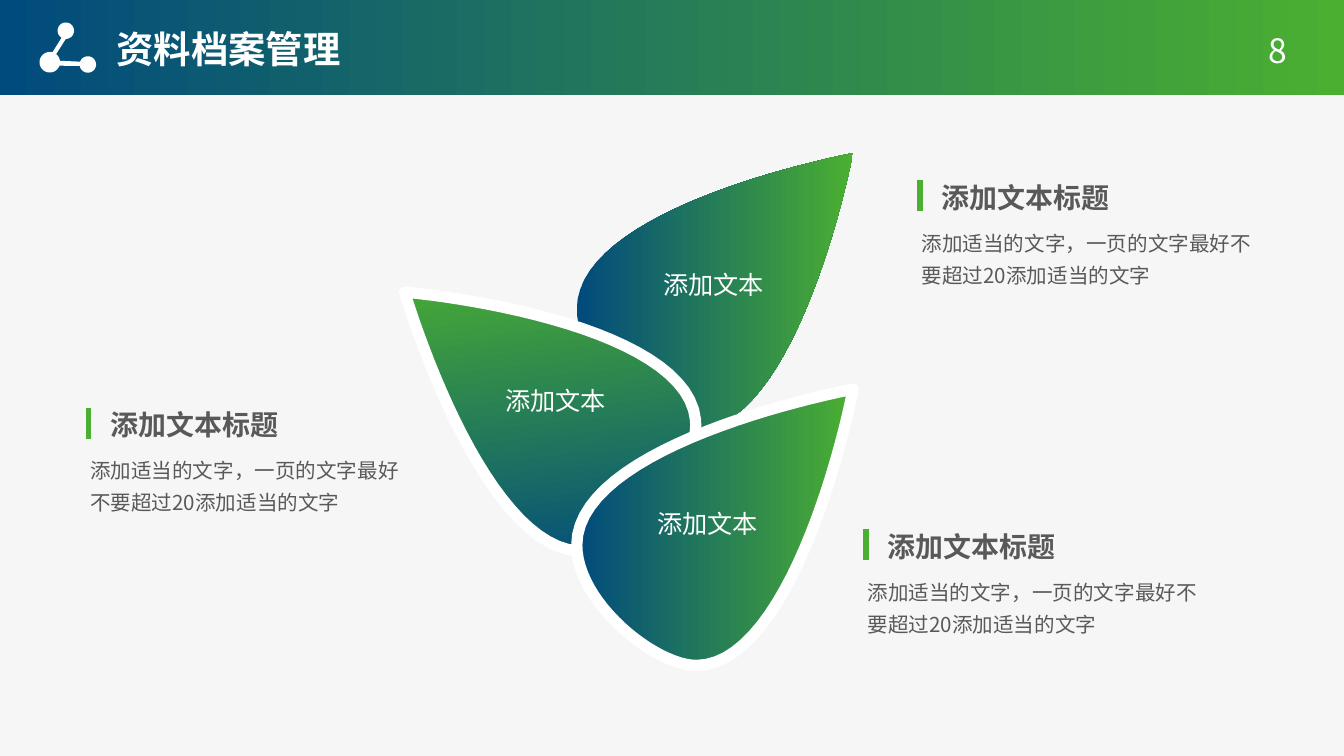
from math import cos, radians, sin

from lxml import etree
from pptx import Presentation
from pptx.dml.color import RGBColor
from pptx.enum.shapes import MSO_CONNECTOR, MSO_SHAPE
from pptx.enum.text import MSO_ANCHOR, MSO_AUTO_SIZE, PP_ALIGN
from pptx.oxml.ns import qn
from pptx.util import Pt

RECT, STRAIGHT = MSO_SHAPE.RECTANGLE, MSO_CONNECTOR.STRAIGHT
TOP, MIDDLE = MSO_ANCHOR.TOP, MSO_ANCHOR.MIDDLE
LEFT, CENTER, RIGHT = PP_ALIGN.LEFT, PP_ALIGN.CENTER, PP_ALIGN.RIGHT
NO_FIT, GROW = MSO_AUTO_SIZE.NONE, MSO_AUTO_SIZE.SHAPE_TO_FIT_TEXT

# Content
TITLE = "资料档案管理"
PAGE = "8"
HEADING = "添加文本标题"
BODY = "添加适当的文字，一页的文字最好不要超过20添加适当的文字"
LEAVES = [  # left, top, rotation, outlined
    (309, 82, 0, False),
    (224, 148.5, 264.1, True),
    (309, 208.5, 0, True),
]
LABELS = [("添加文本", 339, 141), ("添加文本", 254, 203), ("添加文本", 335.5, 269)]
CALLOUTS = [  # heading, body, left, top, heading width
    (HEADING, BODY, 497.5, 93, 214),
    (HEADING, BODY, 468.5, 280, 214),
    (HEADING, BODY, 52, 215, 203),
]

# Leaf outline: start point, then cubic curves (control, control, end)
LEAF_TIP = (148, 0)
LEAF_CURVES = [
    ((138, 50), (108, 148), (64, 148)),
    ((42, 148), (0, 114.5), (0, 83.5)),
    ((0, 39.5), (93.5, 11), LEAF_TIP),
]
# Node icon outline: centre x, centre y, radius, start and end angle
ICON_ARCS = [
    (35.3, 16.5, 4.4, 121, 450),
    (26.7, 33.4, 5.5, -52, -8),
    (47.1, 34.6, 4.4, 200, 530),
    (26.7, 33.4, 5.5, 20, 285),
]

THEME = {
    "blue": RGBColor.from_string("004B7D"),
    "green": RGBColor.from_string("4BAF31"),
    "white": RGBColor.from_string("FFFFFF"),
    "grey": RGBColor.from_string("595959"),
    "back": RGBColor.from_string("F6F6F6"),
    "font": "Noto Sans CJK SC",
    "label_font": "Arial Narrow",
    "title": 20, "page": 18, "heading": 15, "label": 13.5, "body": 11,
}


def write(sp, text, size, color, bold=False, align=LEFT, anchor=TOP,
          wrap=True, fit=GROW, spacing=None, font="font"):
    tf = sp.text_frame
    tf.text = text
    tf.word_wrap, tf.auto_size, tf.vertical_anchor = wrap, fit, anchor
    p = tf.paragraphs[0]
    p.alignment = align
    if spacing:
        p.line_spacing = spacing
    f = p.runs[0].font
    f.size, f.bold, f.name = Pt(THEME[size]), bold, THEME[font]
    f.color.rgb = THEME[color]
    rpr = p.runs[0]._r.get_or_add_rPr()
    etree.SubElement(rpr, qn("a:ea"), typeface=THEME["font"])


def add_text(shapes, box, *args, **style):
    sp = shapes.add_textbox(*map(Pt, box))
    write(sp, *args, **style)
    return sp


def paint_gradient(sp):
    sp.shadow.inherit = False
    sp.line.fill.background()
    sp.fill.gradient()
    sp.fill.gradient_angle = 0
    for stop, name in zip(sp.fill.gradient_stops, ("blue", "green")):
        stop.color.rgb = THEME[name]


def add_outline(shapes, points):
    points = [(Pt(x), Pt(y)) for x, y in points]
    builder = shapes.build_freeform(*points[0])
    builder.add_line_segments(points[1:], close=True)
    return builder.convert_to_shape()


def leaf_points(left, top, steps=24):
    start, points = LEAF_TIP, []
    for c1, c2, end in LEAF_CURVES:
        for i in range(steps):
            t = i / steps
            u = 1 - t
            weights = (u**3, 3 * u * u * t, 3 * u * t * t, t**3)
            x, y = (sum(w * v for w, v in zip(weights, axis))
                    for axis in zip(start, c1, c2, end))
            points.append((left + x, top + y))
        start = end
    return points


def icon_points(steps=32):
    points = []
    for cx, cy, radius, first, last in ICON_ARCS:
        for i in range(steps + 1):
            a = radians(first + (last - first) * i / steps)
            points.append((cx + radius * cos(a), cy + radius * sin(a)))
    return points


def add_callout(slide, heading, body, x, y, width):
    shapes = slide.shapes.add_group_shape().shapes
    add_text(shapes, (x, y, width, 25), heading, "heading", "grey", bold=True)
    bar = shapes.add_connector(STRAIGHT, Pt(x - 4.5), Pt(y + 3.4),
                               Pt(x - 4.5), Pt(y + 20))
    bar.line.color.rgb = THEME["green"]
    bar.line.width = Pt(3)
    etree.SubElement(bar.element.spPr, qn("a:effectLst"))
    add_text(shapes, (x - 10.8, y + 23, width - 14, 40.5), body,
             "body", "grey", spacing=1.3)


def main():
    prs = Presentation()
    prs.slide_width, prs.slide_height = Pt(720), Pt(405)
    s = prs.slides.add_slide(prs.slide_layouts[5])
    s.background.fill.solid()
    s.background.fill.fore_color.rgb = THEME["back"]

    # Header band, title, icon and page number
    header = s.shapes.add_shape(RECT, 0, 0, prs.slide_width, Pt(51))
    paint_gradient(header)
    title = s.shapes.title
    header.element.addnext(title.element)
    title.left, title.top, title.width, title.height = map(Pt, (57, 11.5, 204, 29.5))
    write(title, TITLE, "title", "white", bold=True)
    tf = title.text_frame
    tf.margin_left = tf.margin_right = Pt(5.3)
    tf.margin_top = tf.margin_bottom = Pt(2.7)
    icon = add_outline(s.shapes, icon_points())
    icon.shadow.inherit = False
    icon.fill.solid()
    icon.fill.fore_color.rgb = THEME["white"]
    icon.line.fill.background()
    add_text(s.shapes, (664.5, 16, 32, 21.5), PAGE, "page", "white",
             align=RIGHT, anchor=MIDDLE, fit=NO_FIT)

    # Leaves and their labels
    for left, top, rotation, outlined in LEAVES:
        leaf = add_outline(s.shapes, leaf_points(left, top))
        paint_gradient(leaf)
        leaf.rotation = rotation
        if outlined:
            leaf.line.color.rgb = THEME["white"]
            leaf.line.width = Pt(6)
    for text, x, y in LABELS:
        add_text(s.shapes, (x, y, 87, 29), text, "label", "white",
                 align=CENTER, wrap=False, font="label_font")

    # Callouts
    for callout in CALLOUTS:
        add_callout(s, *callout)

    prs.save("out.pptx")


if __name__ == "__main__":
    main()
